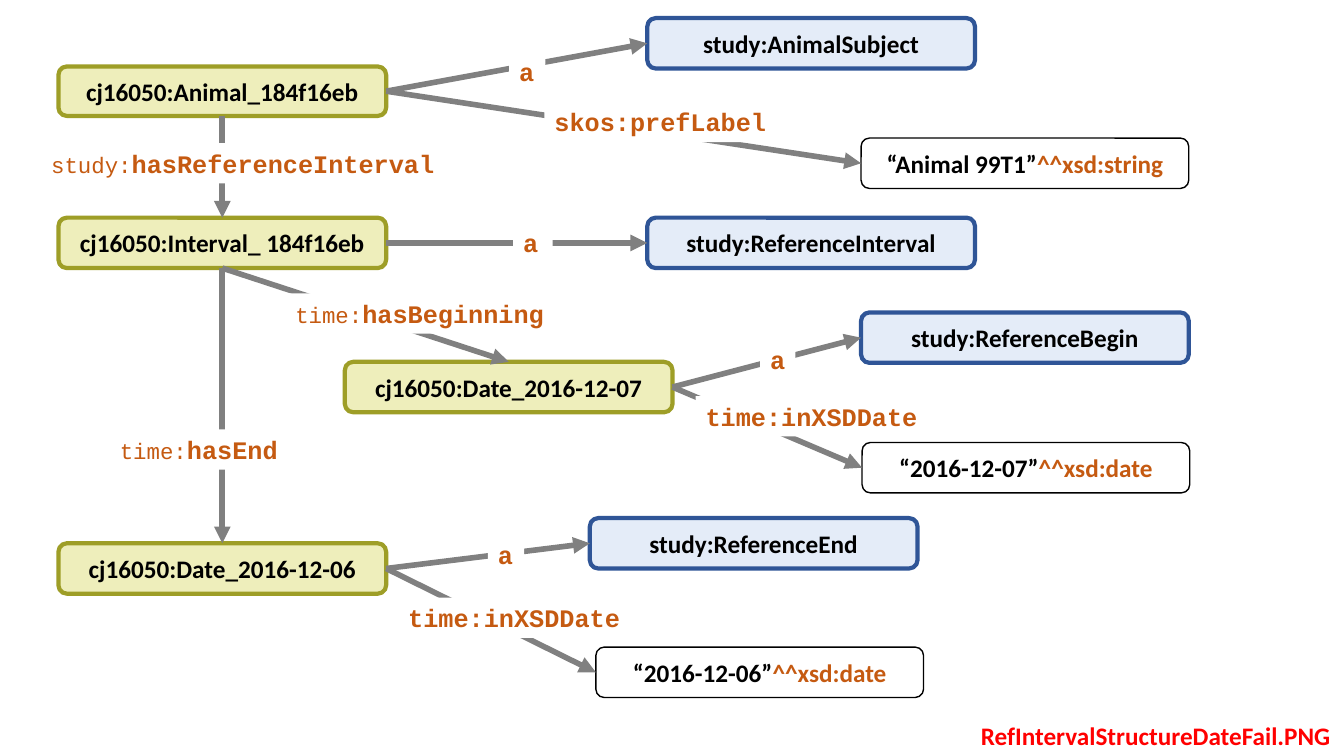
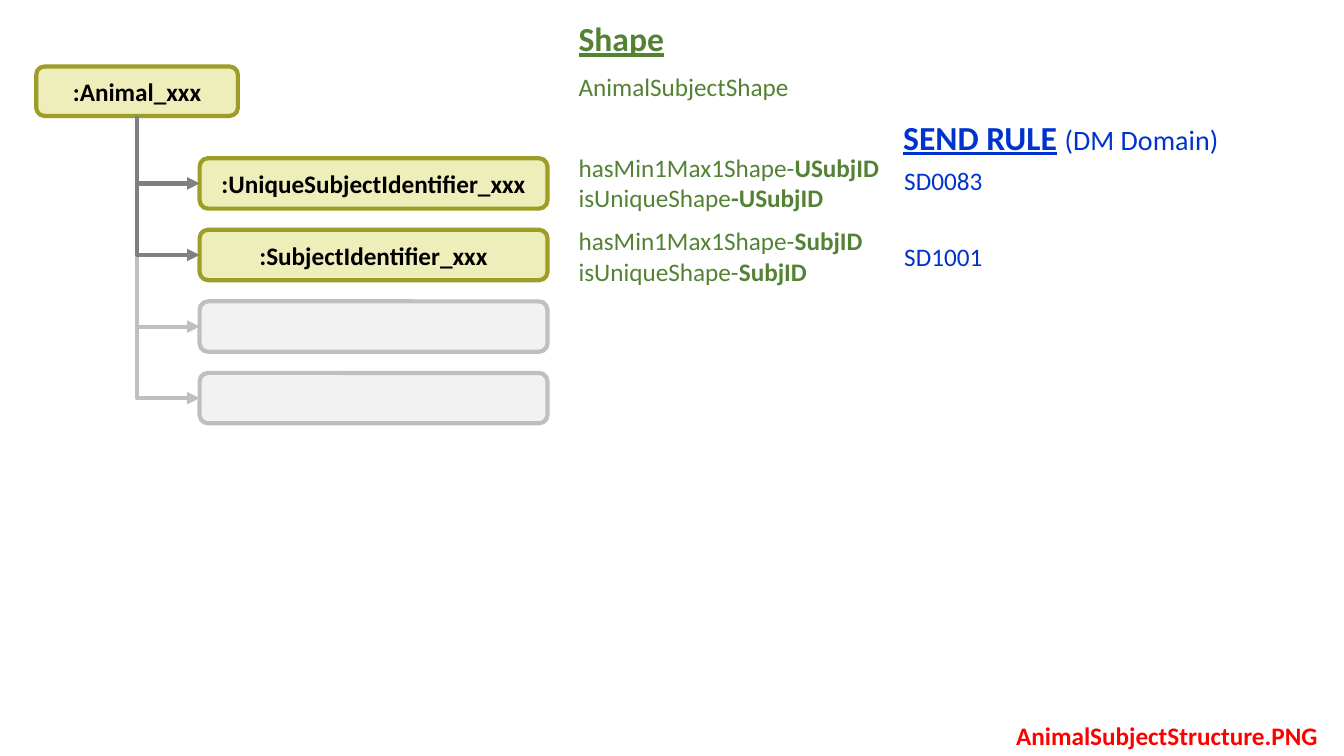
from lxml import etree
from pptx import Presentation, util as u
from pptx.dml.color import RGBColor
from pptx.enum import shapes, text
from pptx.oxml.ns import qn

PX = 9144  # 100 px to the inch
SANS, MONO = "Calibri", "Courier New"
BLACK, WHITE, RED = "000000", "FFFFFF", "FF0000"
ORANGE, GREEN, BLUE = "C55A11", "548235", "0033CC"
GRAY, PALE = "808080", "BFBFBF"

# Box styles: fill, line colour, line width
NODE = ("EEEEBB", "9E9E27", 3)
CLASS = ("E4ECF8", "2F5597", 3)
VALUE = (WHITE, BLACK, 1)
EMPTY = ("F2F2F2", PALE, 3)

# Connection sites of a box
TOP, LEFT, BOTTOM, RIGHT = range(4)


def px(*nums):
    return [u.Emu(n * PX) for n in nums]


def rgb(code):
    return RGBColor.from_string(code)


def run(text, color, bold=False, size=18, face=SANS, under=False):
    return text, color, bold, size, face, under


def write(frame, *lines):
    """Fill a frame; each line is a list of runs."""
    frame.word_wrap = True
    for i, line in enumerate(lines):
        par = frame.add_paragraph() if i else frame.paragraphs[0]
        for words, color, bold, size, face, under in line:
            part = par.add_run()
            part.text = words
            font = part.font
            font.name, font.size = face, u.Pt(size)
            font.bold, font.underline = bold, under
            font.color.rgb = rgb(color)


def box(slide, style, x, y, w, h, *runs):
    fill, edge, width = style
    shape = slide.shapes.add_shape(
        shapes.MSO_SHAPE.ROUNDED_RECTANGLE, *px(x, y, w, h))
    shape.shadow.inherit = False
    shape.fill.solid()
    shape.fill.fore_color.rgb = rgb(fill)
    shape.line.color.rgb = rgb(edge)
    shape.line.width = u.Pt(width)
    frame = shape.text_frame
    frame.vertical_anchor = text.MSO_ANCHOR.MIDDLE
    write(frame, runs)
    frame.paragraphs[0].alignment = text.PP_ALIGN.CENTER
    return shape


def note(slide, x, y, w, h, *lines):
    area = slide.shapes.add_textbox(*px(x, y, w, h))
    write(area.text_frame, *lines)
    return area


def label(slide, x, y, w, name, prefix=""):
    """Predicate name on white, over its arrow."""
    runs = [run(name, ORANGE, True, face=MONO)]
    if prefix:
        runs.insert(0, run(prefix, ORANGE, size=16, face=MONO))
    area = note(slide, x, y, w, 40, runs)
    area.fill.solid()
    area.fill.fore_color.rgb = rgb(WHITE)


def link(slide, start, out, end, into, color=GRAY, width=4,
         kind=shapes.MSO_CONNECTOR.STRAIGHT):
    line = slide.shapes.add_connector(kind, 0, 0, 0, 0)
    line.begin_connect(start, out)
    line.end_connect(end, into)
    line.line.color.rgb = rgb(color)
    line.line.width = u.Pt(width)
    props = line.element.spPr
    etree.SubElement(props.find(qn("a:ln")), qn("a:tailEnd"), type="triangle")
    etree.SubElement(props, qn("a:effectLst"))
    return line


def branch(slide, start, end, color):
    """One-bend arrow: down from start, then right to end."""
    line = link(slide, start, BOTTOM, end, LEFT, color, 3,
                shapes.MSO_CONNECTOR.ELBOW)
    x, y, w, h = line.left, line.top, line.width, line.height
    line.left, line.top = x + (w - h) // 2, y + (h - w) // 2
    line.width, line.height = h, w
    props = line.element.spPr
    props.find(qn("a:prstGeom")).set("prst", "bentConnector2")
    frame = props.find(qn("a:xfrm"))
    frame.set("rot", "16200000")
    frame.set("flipH", "1")


def footer(slide, x, name):
    note(slide, x, 710, 1333 - x, 40, [run(name, RED, True)])


def interval(slide):
    def item(style, x, y, name, kind="", h=50):
        runs = [run(name, BLACK, True)]
        if kind:
            runs.append(run(kind, ORANGE, True))
        return box(slide, style, x, y, 325, h, *runs)

    # Boxes
    animal = item(NODE, 58, 66, "cj16050:Animal_184f16eb", h=49)
    span = item(NODE, 58, 216, "cj16050:Interval_ 184f16eb")
    first = item(NODE, 342, 359, "cj16050:Date_2016-12-07")
    last = item(NODE, 58, 539, "cj16050:Date_2016-12-06")
    sides = [
        (animal, item(CLASS, 642, 18, "study:AnimalSubject")),
        (animal, item(VALUE, 854, 137, "“Animal 99T1”", "^^xsd:string")),
        (span, item(CLASS, 642, 216, "study:ReferenceInterval")),
        (first, item(CLASS, 854, 310, "study:ReferenceBegin")),
        (first, item(VALUE, 855, 439, "“2016-12-07”", "^^xsd:date")),
        (last, item(CLASS, 585, 514, "study:ReferenceEnd")),
        (last, item(VALUE, 591, 642, "“2016-12-06”", "^^xsd:date")),
    ]

    # Arrows
    for start, end in sides:
        link(slide, start, RIGHT, end, LEFT)
    for start, end in [(animal, span), (span, first), (span, last)]:
        link(slide, start, BOTTOM, end, TOP)

    # Predicates
    for x, y, w in [(505, 51, 36), (509, 221, 39),
                    (754, 337, 35), (484, 530, 36)]:
        label(slide, x, y, w, "a")
    for x, y in [(395, 593), (690, 393)]:
        label(slide, x, y, 231, "time:inXSDDate")
    label(slide, 540, 101, 235, "skos:prefLabel")
    label(slide, 41, 142, 420, "hasReferenceInterval", "study:")
    label(slide, 283, 291, 285, "hasBeginning", "time:")
    label(slide, 109, 426, 285, "hasEnd", "time:")
    footer(slide, 963, "RefIntervalStructureDateFail.PNG")


def subject(slide):
    # Tree
    root = box(slide, NODE, 36, 66, 200, 49, run(":Animal_xxx", BLACK, True))
    names = [":UniqueSubjectIdentifier_xxx", ":SubjectIdentifier_xxx", "", ""]
    leaves = []
    for i, name in enumerate(names):
        runs = [run(name, BLACK, True)] if name else []
        leaves.append(box(slide, NODE if name else EMPTY,
                          198, 157 + 71 * i, 345, 50, *runs))
    for leaf, name in reversed(list(zip(leaves, names))):
        branch(slide, root, leaf, GRAY if name else PALE)

    # Shape column
    note(slide, 564, 13, 120, 50, [run("Shape", GREEN, True, 24, under=True)])
    note(slide, 564, 66, 245, 40, [run("AnimalSubjectShape", GREEN)])
    for y, plain, dash, name in [(146, "isUniqueShape", "-", "USubjID"),
                                 (219, "isUniqueShape-", "", "SubjID")]:
        note(slide, 564, y, 325, 71,
             [run("hasMin1Max1Shape-", GREEN), run(name, GREEN, True)],
             [run(plain, GREEN), run(dash + name, GREEN, True)])

    # Rule column
    note(slide, 886, 111, 350, 50,
         [run("SEND RULE", BLUE, True, 24, under=True),
          run(" ", BLUE, True, 24), run("(DM Domain)", BLUE, size=20)])
    for y, code in [(159, "SD0083"), (234, "SD1001")]:
        note(slide, 887, y, 110, 40, [run(code, BLUE)])
    footer(slide, 998, "AnimalSubjectStructure.PNG")


def main():
    deck = Presentation()
    deck.slide_width, deck.slide_height = px(1333, 750)
    for build in (interval, subject):
        build(deck.slides.add_slide(deck.slide_layouts[6]))
    deck.save("out.pptx")


if __name__ == "__main__":
    main()
